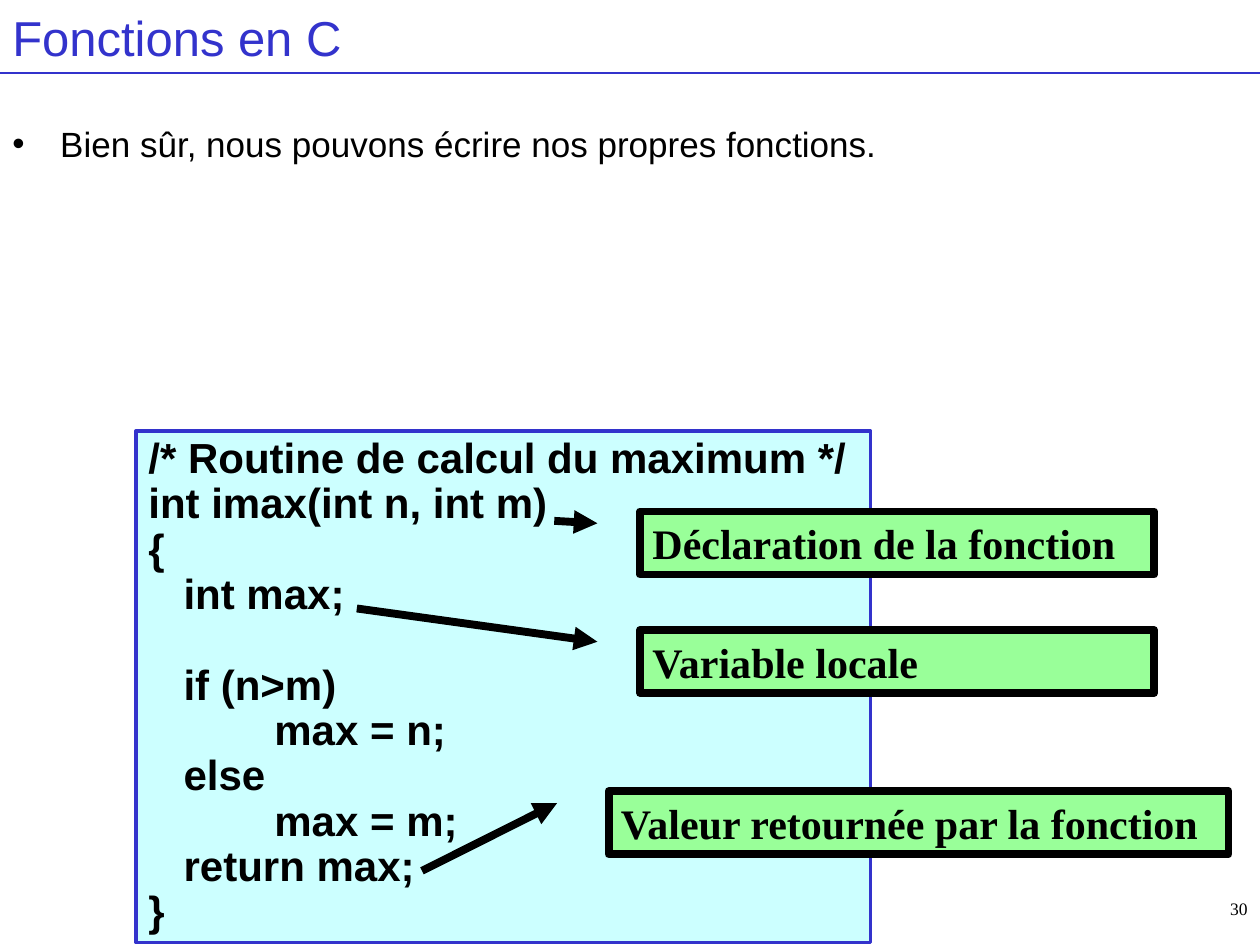
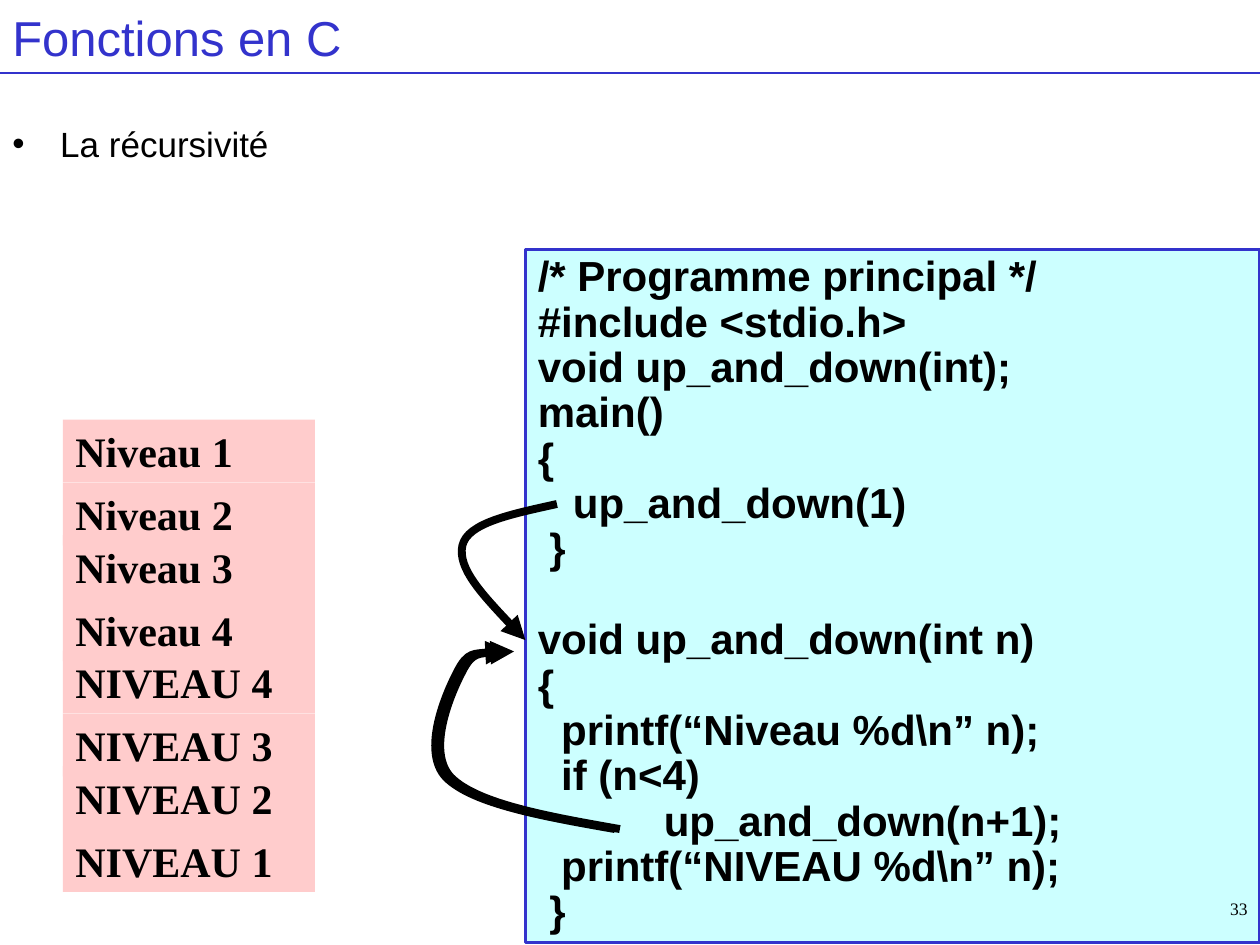
from lxml import etree
from pptx import Presentation
from pptx.dml.color import RGBColor
from pptx.enum import shapes, text
from pptx.oxml import ns
from pptx.util import Inches, Pt

BLUE = RGBColor(0x33, 0x33, 0xCC)
BLACK = RGBColor(0, 0, 0)
CODE_FILL = RGBColor(0xCC, 0xFF, 0xFF)
CALLOUT_FILL = RGBColor(0x99, 0xFF, 0x99)
LEVEL_FILL = RGBColor(0xFF, 0xCC, 0xCC)
SANS, SERIF = "Arial", "Times New Roman"
SPACE, TAB = 0.093, 1.0

IMAX_CODE = [
    (0, "/* Routine de calcul du maximum */"),
    (0, "int imax(int n, int m)"),
    (0, "{"),
    (3 * SPACE, "int max;"),
    None,
    (3 * SPACE, "if (n>m)"),
    (TAB, "max = n;"),
    (3 * SPACE, "else"),
    (TAB, "max = m;"),
    (3 * SPACE, "return max;"),
    (0, "}"),
]
RECURSION_CODE = [
    (0, "/* Programme principal */"),
    (0, "#include <stdio.h>"),
    (0, "void up_and_down(int);"),
    (0, "main()"),
    (0, "{"),
    (3 * SPACE, "up_and_down(1)"),
    (SPACE, "}"),
    None,
    (0, "void up_and_down(int n)"),
    (0, "{"),
    (2 * SPACE, "printf(“Niveau %d\\n” n);"),
    (2 * SPACE, "if (n<4)"),
    (TAB, "up_and_down(n+1);"),
    (2 * SPACE, "printf(“NIVEAU %d\\n” n);"),
    (SPACE, "}"),
]
CALLOUTS = [
    ((5.08, 4.06, 4.08, 0.5), (0.149, -0.167), "Déclaration de la fonction"),
    ((5.08, 5, 4.08, 0.5), (-0.341, -0.551), "Variable locale"),
    ((4.83, 6.28, 4.92, 0.5), (1.264, -0.301), "Valeur retournée par la fonction"),
]
FIRST_CALL = [(4.42, 4), (4.06, 4.08), (3.71, 4.15), (3.67, 4.33),
              (3.63, 4.51), (3.9, 4.8), (4.17, 5.08)]
RECURSIVE_CALL = [(4.92, 6.58), (4.35, 6.48), (3.79, 6.38), (3.58, 6.17),
                  (3.38, 5.96), (3.58, 5.5), (3.67, 5.33),
                  (3.75, 5.17), (3.92, 5.17), (4.08, 5.17)]


def inches(box):
    """Convert a box given in inches to lengths."""
    return [Inches(value) for value in box]


def write(paragraph, words, size, font=SANS, color=BLACK, bold=False):
    """Add one left-aligned run to a paragraph."""
    paragraph.alignment = text.PP_ALIGN.LEFT
    run = paragraph.add_run()
    run.text = words
    run.font.size, run.font.name, run.font.bold = Pt(size), font, bold
    run.font.color.rgb = color


def indent(paragraph, left, first=0):
    """Set the left margin and first-line indent of a paragraph."""
    properties = paragraph._p.get_or_add_pPr()
    properties.set("marL", str(Inches(left)))
    properties.set("indent", str(Inches(first)))
    return properties


def add_arrowhead(shape, end):
    """Put a triangle at the given end of a shape's line."""
    line = shape.element.spPr.find(ns.qn("a:ln"))
    etree.SubElement(line, ns.qn(f"a:{end}"), type="triangle")


def text_area(slide, box):
    """Add a wrapping text box and return its frame."""
    frame = slide.shapes.add_textbox(*inches(box)).text_frame
    frame.word_wrap = True
    return frame


def panel(slide, kind, box, fill, line=None, width=0):
    """Add a filled panel whose text starts at the top left."""
    shape = slide.shapes.add_shape(kind, *inches(box))
    shape.shadow.inherit = False
    shape.fill.solid()
    shape.fill.fore_color.rgb = fill
    if line is None:
        shape.line.fill.background()
    else:
        shape.line.color.rgb = line
        shape.line.width = Pt(width)
    shape.text_frame.word_wrap = True
    shape.text_frame.vertical_anchor = text.MSO_ANCHOR.TOP
    return shape


def heading(slide, title, point):
    """Draw the title, the rule under it and the bulleted point."""
    rule = slide.shapes.add_connector(
        shapes.MSO_CONNECTOR.STRAIGHT, *inches((0, 0.58, 10, 0.58)))
    rule.line.color.rgb = BLUE
    rule.line.width = Pt(0.75)
    etree.SubElement(rule.element.spPr, ns.qn("a:effectLst"))

    title_frame = text_area(slide, (0, 0, 10, 0.58))
    title_frame.vertical_anchor = text.MSO_ANCHOR.MIDDLE
    write(title_frame.paragraphs[0], title, 28, color=BLUE)

    paragraph = text_area(slide, (0, 0.92, 10, 4.64)).paragraphs[0]
    paragraph.space_before = Pt(5)
    write(paragraph, point, 20)
    properties = indent(paragraph, 0.38, -0.38)
    etree.SubElement(properties, ns.qn("a:buFont"), typeface=SANS)
    etree.SubElement(properties, ns.qn("a:buChar"), char="•")


def page_number(slide, number):
    """Write the page number at the bottom right."""
    paragraph = text_area(slide, (7.92, 7.08, 2.08, 0.42)).paragraphs[0]
    write(paragraph, str(number), 10, SERIF)
    paragraph.alignment = text.PP_ALIGN.RIGHT


def code_listing(slide, box, lines):
    """Draw a code panel, where None leaves a gap of one line."""
    frame = panel(slide, shapes.MSO_SHAPE.RECTANGLE, box, CODE_FILL, BLUE, 2).text_frame
    paragraph, gap = frame.paragraphs[0], 0
    for line in lines:
        if line is None:
            gap = 26
            continue
        left, words = line
        paragraph = paragraph if not paragraph.runs else frame.add_paragraph()
        paragraph.line_spacing = 0.9
        paragraph.space_before = Pt(gap)
        indent(paragraph, left)
        write(paragraph, words, 24, bold=True)
        gap = 0


def callout(slide, box, target, words):
    """Draw a label with an arrow from the code position to its side."""
    label = panel(slide, shapes.MSO_SHAPE.LINE_CALLOUT_1, box, CALLOUT_FILL, BLACK, 4.5)
    for index, value in enumerate((0.188, -0.083, *target)):
        label.adjustments[index] = value
    add_arrowhead(label, "headEnd")
    write(label.text_frame.paragraphs[0], words, 24, SERIF, bold=True)


def call_arrow(slide, points, shift=0):
    """Draw a curved arrow through cubic Bézier control points."""
    start, *controls = [(Inches(x + shift), Inches(y)) for x, y in points]
    builder = slide.shapes.build_freeform(*start)
    builder.add_line_segments(controls, close=False)
    arrow = builder.convert_to_shape()
    steps = list(arrow.element.iter(ns.qn("a:lnTo")))
    for first in range(0, len(steps), 3):
        curve = etree.Element(ns.qn("a:cubicBezTo"))
        steps[first].addprevious(curve)
        for step in steps[first:first + 3]:
            curve.append(step[0])
            step.getparent().remove(step)
    arrow.shadow.inherit = False
    arrow.fill.background()
    arrow.line.color.rgb = BLACK
    arrow.line.width = Pt(4.5)
    add_arrowhead(arrow, "tailEnd")


def level_output(slide, left, top):
    """Stack the printed levels in pairs, down and back up."""
    levels = [f"Niveau {n}" for n in range(1, 5)]
    levels += [f"NIVEAU {n}" for n in range(4, 0, -1)]
    for index, level in enumerate(levels):
        pair, second = divmod(index, 2)
        box = (left, top + 5.5 / 6 * pair + 0.5 * second, 2, 0.5)
        row = panel(slide, shapes.MSO_SHAPE.RECTANGLE, box, LEVEL_FILL)
        write(row.text_frame.paragraphs[0], level, 24, SERIF, bold=True)


def function_slide(slide):
    """Build the slide on writing a function."""
    heading(slide, "Fonctions en C", "Bien sûr, nous pouvons écrire nos propres fonctions.")
    code_listing(slide, (1.08, 3.42, 5.83, 4.06), IMAX_CODE)
    for box, target, words in CALLOUTS:
        callout(slide, box, target, words)
    page_number(slide, 30)


def recursion_slide(slide):
    """Build the slide on recursion."""
    heading(slide, "Fonctions en C", "La récursivité")
    code_listing(slide, (4.17, 1.98, 5.83, 5.5), RECURSION_CODE)
    call_arrow(slide, FIRST_CALL)
    for shift in (0, -0.04):
        call_arrow(slide, RECURSIVE_CALL, shift)
    level_output(slide, 0.5, 3.33)
    page_number(slide, 33)


def main():
    """Build and save the presentation."""
    deck = Presentation()
    deck.slide_width, deck.slide_height = Inches(10), Inches(7.5)
    for build in (function_slide, recursion_slide):
        build(deck.slides.add_slide(deck.slide_layouts[6]))
    deck.save("out.pptx")


if __name__ == "__main__":
    main()
